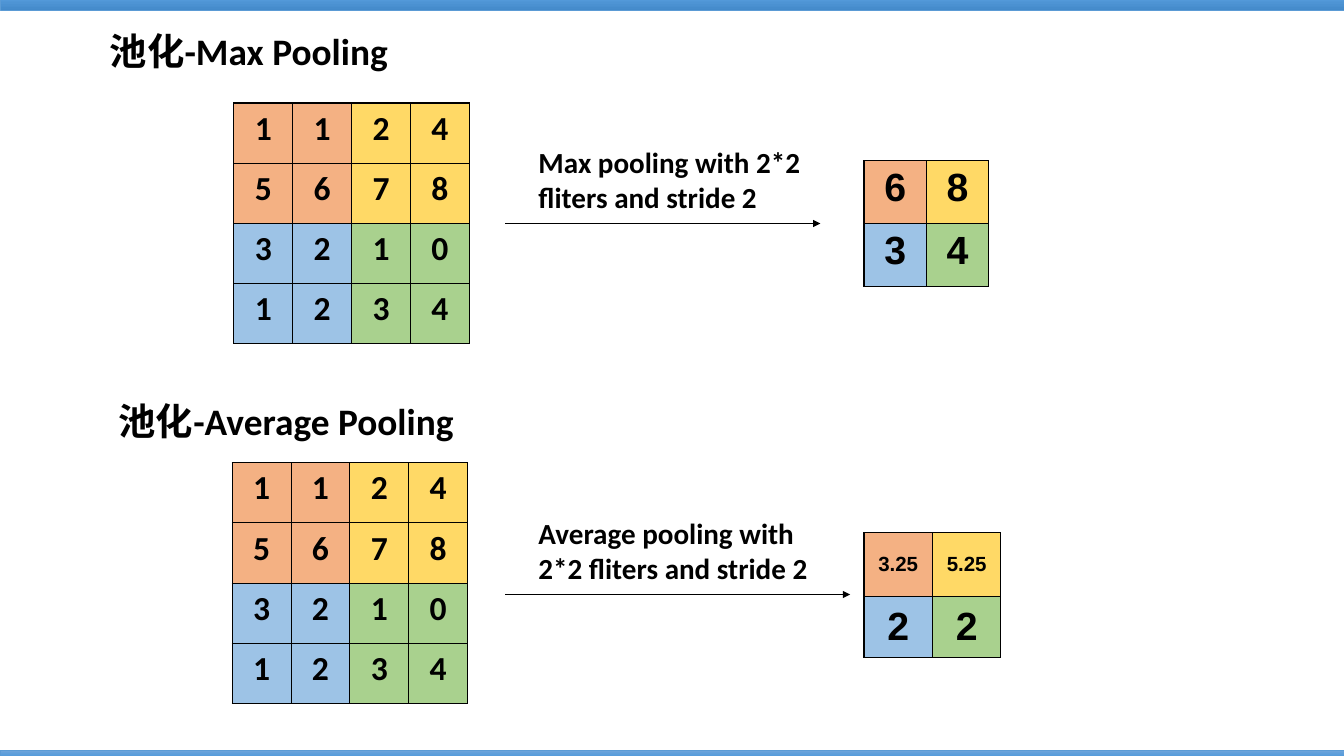
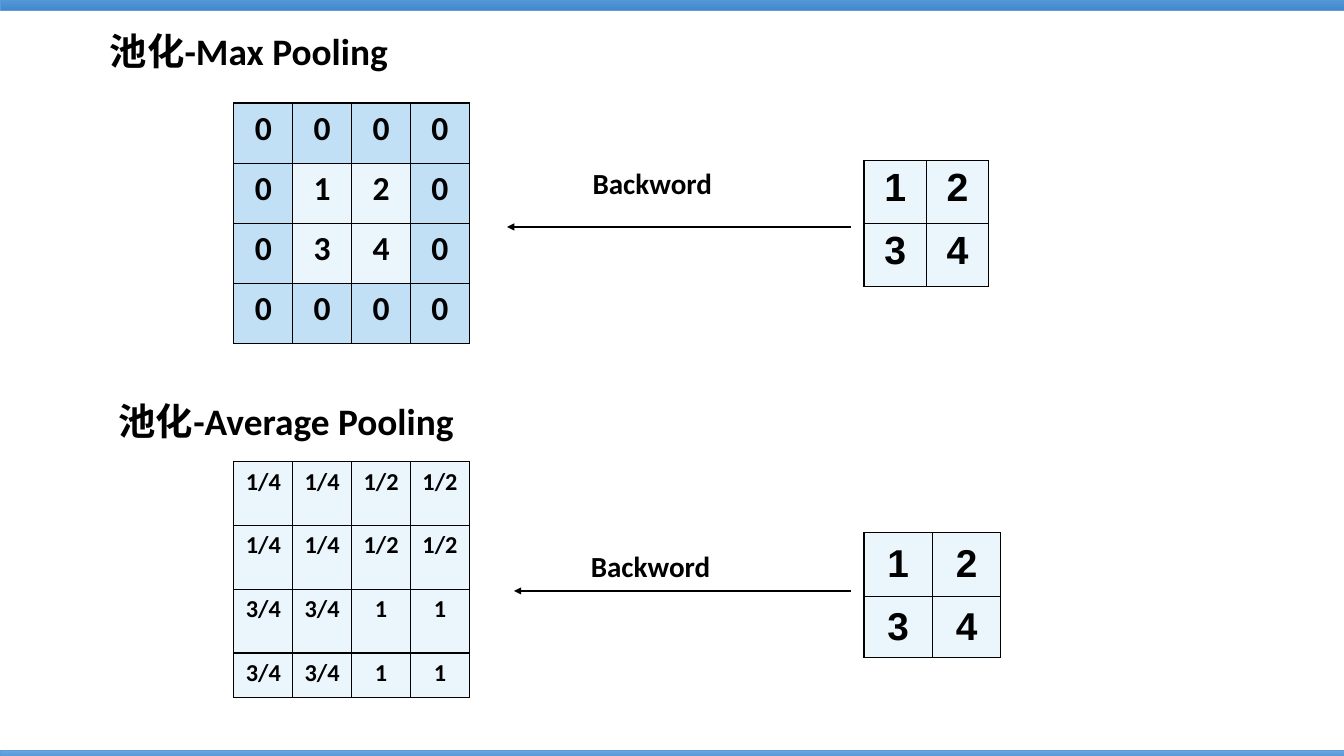
"""Build two slides on the forward and backward passes of max and average pooling."""
from dataclasses import dataclass

from lxml import etree
from pptx import Presentation
from pptx.dml.color import RGBColor
from pptx.enum import shapes, text
from pptx.oxml import ns
from pptx.slide import Slide
from pptx.util import Inches, Pt


@dataclass(frozen=True)
class Theme:
    ink: str = "000000"
    band_line: str = "5B9BD5"
    band_stops: tuple[str, ...] = ("71A6DB", "559BDB", "448ACA")
    body_font: str = "Calibri"
    result_font: str = "Arial"
    title_size: float = 30.8
    label_size: float = 24
    grid_size: float = 27.7
    fraction_size: float = 20
    result_size: float = 32.4
    backward_result_size: float = 32
    decimal_size: float = 16.9
    grid_line: float = 1
    arrow_line: float = 1.5
    band_line_width: float = 0.5


THEME = Theme()
FILLS = {"O": "F4B183", "Y": "FFD966", "B": "9DC3E6", "G": "A9D18E", "D": "C1E0F6", "L": "EBF5FC"}
SLIDE_WIDTH, SLIDE_HEIGHT = 15.4, 8.66
BANDS = ((-0.18, 0.3), (8.59, 0.14))
INSET_X, INSET_Y = 0.12, 0.06


@dataclass(frozen=True)
class Label:
    words: str
    left: float
    top: float
    width: float
    height: float
    size: float = THEME.label_size
    inset_x: float = INSET_X
    inset_y: float = INSET_Y


@dataclass(frozen=True)
class Grid:
    left: float
    top: float
    width: float
    row_heights: tuple[float, ...]
    values: str
    fills: str
    sizes: tuple[float, ...]
    font: str = THEME.body_font
    middle: bool = False


@dataclass(frozen=True)
class Arrow:
    start: float
    end: float
    y: float


@dataclass(frozen=True)
class Pooling:
    source: Grid
    arrow: Arrow
    result: Grid
    label: Label


def input_grid(left: float, top: float, values: str, fills: str) -> Grid:
    return Grid(left, top, 2.7, (0.69,) * 4, values, fills, (THEME.grid_size,) * 4)


def max_result(values: str, fills: str) -> Grid:
    return Grid(9.9, 1.84, 1.43, (0.72, 0.72), values, fills, (THEME.result_size,) * 2, THEME.result_font)


def average_result(values: str, fills: str, sizes: tuple[float, ...]) -> Grid:
    return Grid(9.9, 6.1, 1.57, (0.73, 0.7), values, fills, sizes, THEME.result_font, True)


TITLES = (
    Label("池化-Max Pooling", 1.16, 0.27, 4.3, 0.62, THEME.title_size, 0.1, 0.05),
    Label("池化-Average Pooling", 1.26, 4.51, 5.89, 0.62, THEME.title_size, 0.1, 0.05),
)
FORWARD_VALUES = "1 1 2 4/5 6 7 8/3 2 1 0/1 2 3 4".replace("/", " ")
QUADRANTS = "OOYY" * 2 + "BBGG" * 2
FORWARD = (
    Pooling(
        input_grid(2.68, 1.18, FORWARD_VALUES, QUADRANTS),
        Arrow(5.79, 9.4, 2.56),
        max_result("6 8 3 4", "OYBG"),
        Label("Max pooling with 2*2 fliters and stride 2", 6.05, 1.59, 3.79, 0.92),
    ),
    Pooling(
        input_grid(2.66, 5.3, FORWARD_VALUES, QUADRANTS),
        Arrow(5.79, 9.74, 6.81),
        average_result("3.25 5.25 2 2", "OYBG", (THEME.decimal_size, THEME.result_size)),
        Label("Average pooling with 2*2 fliters and stride 2", 6.05, 5.84, 3.48, 0.92),
    ),
)
BACKWARD = (
    Pooling(
        input_grid(2.68, 1.18, "0 0 0 0 0 1 2 0 0 3 4 0 0 0 0 0", "DDDD" + "DLLD" * 2 + "DDDD"),
        Arrow(9.75, 5.81, 2.6),
        max_result("1 2 3 4", "LLLL"),
        Label("Backword", 6.67, 1.84, 2.06, 0.52),
    ),
    Pooling(
        Grid(2.68, 5.29, 2.7, (0.73, 0.73, 0.73, 0.51),
             "1/4 1/4 1/2 1/2 " * 2 + "3/4 3/4 1 1 " * 2, "L" * 16, (THEME.fraction_size,) * 4),
        Arrow(9.75, 5.89, 6.77),
        average_result("1 2 3 4", "LLLL", (THEME.backward_result_size,) * 2),
        Label("Backword", 6.65, 6.22, 1.9, 0.52),
    ),
)


def add_run(paragraph, words: str, size: float, font: str) -> None:
    run = paragraph.add_run()
    run.text = words
    run.font.size = Pt(size)
    run.font.name = font
    run.font.bold = True
    run.font.color.rgb = RGBColor.from_string(THEME.ink)


def add_solid(parent, color: str) -> None:
    solid = etree.SubElement(parent, ns.qn("a:solidFill"))
    etree.SubElement(solid, ns.qn("a:srgbClr"), val=color)


def draw_label(slide: Slide, label: Label) -> None:
    box = slide.shapes.add_textbox(
        Inches(label.left), Inches(label.top), Inches(label.width), Inches(label.height))
    frame = box.text_frame
    frame.word_wrap = True
    frame.auto_size = text.MSO_AUTO_SIZE.SHAPE_TO_FIT_TEXT
    frame.margin_left = frame.margin_right = Inches(label.inset_x)
    frame.margin_top = frame.margin_bottom = Inches(label.inset_y)
    add_run(frame.paragraphs[0], label.words, label.size, THEME.body_font)


def draw_grid(slide: Slide, grid: Grid) -> None:
    values = grid.values.split()
    row_count = len(grid.row_heights)
    column_count = len(values) // row_count
    table = slide.shapes.add_table(
        row_count, column_count, Inches(grid.left), Inches(grid.top),
        Inches(grid.width), Inches(sum(grid.row_heights))).table
    table.first_row = table.horz_banding = False
    for column in table.columns:
        column.width = Inches(grid.width / column_count)
    for row, height in zip(table.rows, grid.row_heights):
        row.height = Inches(height)
    for index, (cell, value, fill) in enumerate(zip(table.iter_cells(), values, grid.fills)):
        cell.margin_left = cell.margin_right = Inches(INSET_X)
        cell.margin_top = cell.margin_bottom = Inches(INSET_Y)
        cell.vertical_anchor = text.MSO_ANCHOR.MIDDLE if grid.middle else text.MSO_ANCHOR.TOP
        properties = cell._tc.get_or_add_tcPr()
        for side in ("a:lnL", "a:lnR", "a:lnT", "a:lnB"):
            border = etree.SubElement(properties, ns.qn(side), w=str(Pt(THEME.grid_line)))
            add_solid(border, THEME.ink)
        cell.fill.solid()
        cell.fill.fore_color.rgb = RGBColor.from_string(FILLS[fill])
        paragraph = cell.text_frame.paragraphs[0]
        paragraph.alignment = text.PP_ALIGN.CENTER
        add_run(paragraph, value, grid.sizes[index // column_count], grid.font)


def draw_arrow(slide: Slide, arrow: Arrow) -> None:
    connector = slide.shapes.add_connector(
        shapes.MSO_CONNECTOR.STRAIGHT, Inches(arrow.start), Inches(arrow.y),
        Inches(arrow.end), Inches(arrow.y))
    connector.line.width = Pt(THEME.arrow_line)
    connector.line.color.rgb = RGBColor.from_string(THEME.ink)
    etree.SubElement(connector.line._get_or_add_ln(), ns.qn("a:tailEnd"), type="triangle")
    etree.SubElement(connector._element.spPr, ns.qn("a:effectLst"))


def draw_band(slide: Slide, top: float, height: float) -> None:
    shape = slide.shapes.add_shape(
        shapes.MSO_SHAPE.RECTANGLE, 0, Inches(top), Inches(SLIDE_WIDTH), Inches(height))
    shape.shadow.inherit = False
    shape.line.width = Pt(THEME.band_line_width)
    shape.line.color.rgb = RGBColor.from_string(THEME.band_line)
    shape.fill.gradient()
    gradient = shape._element.spPr.find(ns.qn("a:gradFill"))
    for child in list(gradient):
        gradient.remove(child)
    stops = etree.SubElement(gradient, ns.qn("a:gsLst"))
    for index, color in enumerate(THEME.band_stops):
        stop = etree.SubElement(stops, ns.qn("a:gs"), pos=str(index * 50000))
        etree.SubElement(stop, ns.qn("a:srgbClr"), val=color)
    etree.SubElement(gradient, ns.qn("a:lin"), ang="5400000", scaled="0")


def draw_slide(presentation, poolings: tuple[Pooling, ...]) -> None:
    slide = presentation.slides.add_slide(presentation.slide_layouts[6])
    for title, pooling in zip(TITLES, poolings):
        draw_label(slide, title)
        draw_grid(slide, pooling.source)
        draw_arrow(slide, pooling.arrow)
        draw_grid(slide, pooling.result)
        draw_label(slide, pooling.label)
    for top, height in BANDS:
        draw_band(slide, top, height)


def main() -> None:
    presentation = Presentation()
    presentation.slide_width = Inches(SLIDE_WIDTH)
    presentation.slide_height = Inches(SLIDE_HEIGHT)
    for poolings in (FORWARD, BACKWARD):
        draw_slide(presentation, poolings)
    presentation.save("out.pptx")


if __name__ == "__main__":
    main()
